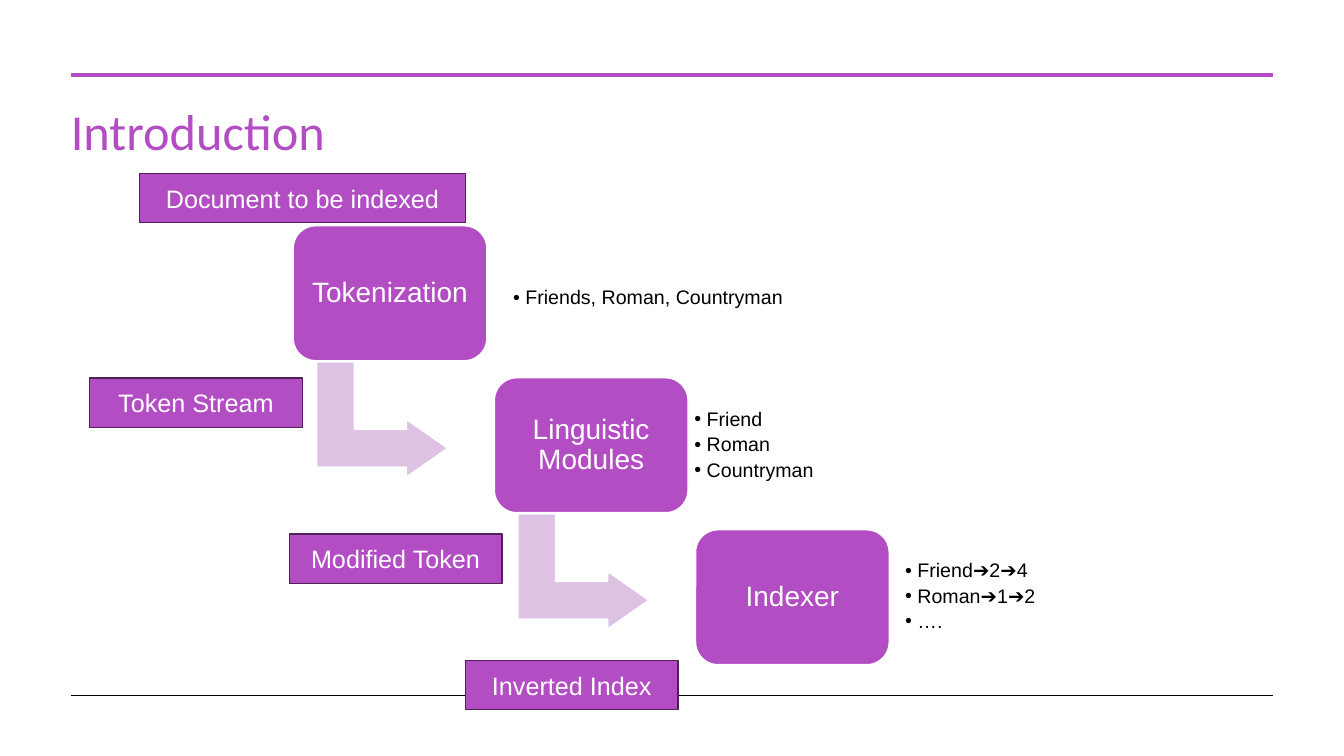
from typing import Any, NamedTuple

from lxml.etree import SubElement
from pptx import Presentation
from pptx.dml.color import RGBColor
from pptx.enum.shapes import MSO_CONNECTOR, MSO_SHAPE
from pptx.enum.text import MSO_ANCHOR, MSO_AUTO_SIZE, PP_ALIGN
from pptx.oxml.ns import qn
from pptx.util import Cm, Pt

PURPLE, LILAC, PLUM = "B34DC3", "DDC2E4", "4E2255"
WHITE, BLACK = "FFFFFF", "000000"

# Staircase of process steps, in centimetres
FIRST_LEFT, FIRST_TOP = 7.39, 5.69
STEP_RIGHT, STEP_DOWN = 5.07, 3.83
STEP_WIDTH, STEP_HEIGHT = 4.88, 3.4
ARROW_RIGHT, ARROW_DOWN = 0.79, 3.23
ARROW_WIDTH, ARROW_HEIGHT = 2.9, 3.3
RESULT_HEIGHT, LABEL_HEIGHT = 2.74, 1.24
RULE_LEFT, RULE_RIGHT = 1.78, 32.08


class Rule(NamedTuple):
    top: float
    color: str
    weight: float


class Step(NamedTuple):
    name: str
    results: list[str]
    left: float
    top: float
    width: float


class Label(NamedTuple):
    text: str
    left: float
    top: float
    width: float


RULES = [Rule(1.88, PURPLE, 3), Rule(17.53, BLACK, 0.5)]

STEPS = [
    Step("Tokenization", ["Friends, Roman, Countryman"], 12.75, 6.15, 7.8),
    Step("Linguistic Modules", ["Friend", "Roman", "Countryman"], 17.32, 9.86, 3.53),
    Step("Indexer", ["Friend➔2➔4", "Roman➔1➔2", "…."], 22.63, 13.67, 4.06),
]

LABELS = [
    Label("Document to be indexed", 3.51, 4.37, 8.23),
    Label("Token Stream", 2.26, 9.53, 5.36),
    Label("Modified Token", 7.29, 13.46, 5.36),
    Label("Inverted Index", 11.73, 16.64, 5.36),
]


def rgb(value: str) -> RGBColor:
    return RGBColor.from_string(value)


def apply(target: Any, values: dict[str, Any]) -> None:
    for name, value in values.items():
        setattr(target, name, value)


def format_frame(frame: Any, inset: float) -> None:
    margins = {f"margin_{side}": Cm(inset) for side in ("left", "top", "right", "bottom")}
    apply(frame, {"word_wrap": True, "vertical_anchor": MSO_ANCHOR.MIDDLE, **margins})


def write(para: Any, text: str, size: float, color: str, font: str = "Arial") -> None:
    span = para.add_run()
    span.text = text
    apply(span.font, {"name": font, "size": Pt(size)})
    span.font.color.rgb = rgb(color)


def add_rule(page: Any, rule: Rule) -> None:
    line = page.shapes.add_connector(
        MSO_CONNECTOR.STRAIGHT, Cm(RULE_LEFT), Cm(rule.top), Cm(RULE_RIGHT), Cm(rule.top))
    line.line.color.rgb = rgb(rule.color)
    line.line.width = Pt(rule.weight)
    SubElement(line._element.spPr, qn("a:effectLst"))


def add_block(page: Any, kind: MSO_SHAPE, place: tuple[float, ...],
              fill: str, outline: str, adjustments: tuple[float, ...] = ()) -> Any:
    box = page.shapes.add_shape(kind, *map(Cm, place))
    box.shadow.inherit = False
    box.fill.solid()
    box.fill.fore_color.rgb = rgb(fill)
    box.line.color.rgb = rgb(outline)
    box.line.width = Pt(1)
    for index, value in enumerate(adjustments):
        box.adjustments[index] = value
    return box


def add_caption(box: Any, text: str, size: float, inset: float, spacing: float) -> None:
    format_frame(box.text_frame, inset)
    para = box.text_frame.paragraphs[0]
    apply(para, {"alignment": PP_ALIGN.CENTER, "line_spacing": spacing})
    write(para, text, size, WHITE)


def add_results(page: Any, step: Step) -> None:
    box = page.shapes.add_textbox(
        Cm(step.left), Cm(step.top), Cm(step.width), Cm(RESULT_HEIGHT))
    frame = box.text_frame
    format_frame(frame, 0.18)
    for index, text in enumerate(step.results):
        para = frame.add_paragraph() if index else frame.paragraphs[0]
        apply(para, {"line_spacing": 0.9, "space_after": Pt(3)})
        properties = para._p.get_or_add_pPr()
        properties.set("marL", str(Cm(0.31)))
        properties.set("indent", str(Cm(-0.31)))
        SubElement(properties, qn("a:buFont")).set("typeface", "Arial")
        SubElement(properties, qn("a:buChar")).set("char", "•")
        write(para, text, 14, BLACK)


def add_step(page: Any, index: int, step: Step) -> None:
    left = FIRST_LEFT + index * STEP_RIGHT
    top = FIRST_TOP + index * STEP_DOWN
    if index < len(STEPS) - 1:
        arrow = add_block(
            page, MSO_SHAPE.BENT_UP_ARROW,
            (left + ARROW_RIGHT, top + ARROW_DOWN, ARROW_WIDTH, ARROW_HEIGHT),
            LILAC, WHITE, (0.328, 0.25, 0.358))
        arrow.rotation = 90
    box = add_block(page, MSO_SHAPE.ROUNDED_RECTANGLE,
                    (left, top, STEP_WIDTH, STEP_HEIGHT), PURPLE, WHITE, (0.167,))
    add_caption(box, step.name, 20, 0.2, 0.9)
    add_results(page, step)


def add_label(page: Any, label: Label) -> None:
    place = (label.left, label.top, label.width, LABEL_HEIGHT)
    box = add_block(page, MSO_SHAPE.RECTANGLE, place, PURPLE, PLUM)
    add_caption(box, label.text, 18, 0.13, 1.0)


def add_title(page: Any, text: str) -> None:
    title = page.shapes.title
    apply(title, {"left": Cm(1.53), "top": Cm(2.64), "width": Cm(30.53), "height": Cm(3)})
    apply(title.text_frame, {"vertical_anchor": MSO_ANCHOR.TOP, "word_wrap": True,
                             "auto_size": MSO_AUTO_SIZE.NONE})
    para = title.text_frame.paragraphs[0]
    apply(para, {"alignment": PP_ALIGN.LEFT, "line_spacing": 0.85})
    write(para, text, 36, PURPLE, "Calibri")


def main() -> None:
    deck = Presentation()
    apply(deck, {"slide_width": Cm(33.87), "slide_height": Cm(19.05)})
    page = deck.slides.add_slide(deck.slide_layouts[5])

    # Title and page rules
    add_title(page, "Introduction")
    for rule in RULES:
        add_rule(page, rule)

    # Process steps with their results
    for index, step in enumerate(STEPS):
        add_step(page, index, step)

    # Labels for the data passed along
    for label in LABELS:
        add_label(page, label)

    deck.save("out.pptx")


if __name__ == "__main__":
    main()
